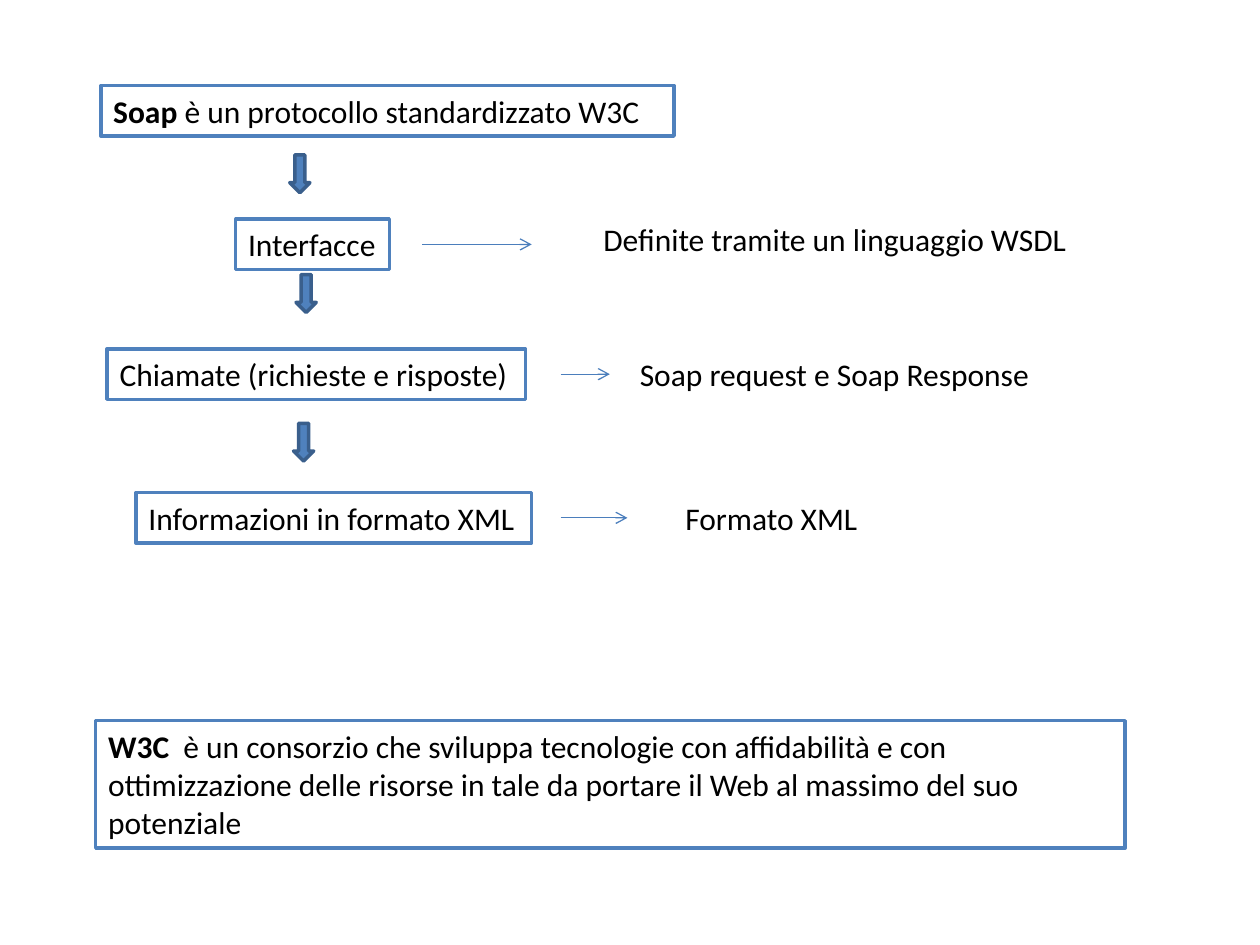
from dataclasses import dataclass

from lxml.etree import SubElement
from pptx import Presentation
from pptx.dml.color import RGBColor
from pptx.enum.shapes import MSO_CONNECTOR as Connector, MSO_SHAPE as Shape
from pptx.enum.text import MSO_ANCHOR as Anchor, MSO_AUTO_SIZE as AutoSize, PP_ALIGN as Align
from pptx.oxml.ns import qn
from pptx.util import Inches, Pt

COLUMNS, ROWS = 100, 75


@dataclass(frozen=True)
class Theme:
    font: str = "Calibri"
    size: float = 18
    ink: str = "000000"
    paper: str = "FFFFFF"
    accent: str = "4F81BD"
    arrow_edge: str = "3A5F8C"
    link: str = "4B7EBC"
    border: float = 2
    hairline: float = 0.75


class Diagram:
    """Draws on one slide; lengths are columns and rows of its grid."""

    def __init__(self, deck, theme):
        self.theme = theme
        self.slide = deck.slides.add_slide(deck.slide_layouts[6])
        self.column = deck.slide_width / COLUMNS
        self.row = deck.slide_height / ROWS

    def place(self, *lengths):
        """Turn alternating columns and rows into slide lengths."""
        units = (self.column, self.row) * 2
        return [round(length * unit) for length, unit in zip(lengths, units)]

    def preset(self, kind, area, fill, edge):
        shape = self.slide.shapes.add_shape(kind, *self.place(*area))
        shape.shadow.inherit = False
        shape.fill.solid()
        shape.fill.fore_color.rgb = RGBColor.from_string(fill)
        shape.line.color.rgb = RGBColor.from_string(edge)
        shape.line.width = Pt(self.theme.border)
        return shape

    def set_text(self, shape, text, lead="", wrap=False):
        """Fill a shape with one paragraph, opened by a bold lead."""
        frame = shape.text_frame
        frame.word_wrap = wrap
        frame.auto_size = AutoSize.SHAPE_TO_FIT_TEXT
        frame.vertical_anchor = Anchor.TOP
        para = frame.paragraphs[0]
        para.alignment = Align.LEFT
        para.font.name = self.theme.font
        para.font.size = Pt(self.theme.size)
        para.font.color.rgb = RGBColor.from_string(self.theme.ink)
        if lead:
            span = para.add_run()
            span.text = lead
            span.font.bold = True
        para.add_run().text = text

    def box(self, area, text, lead="", wrap=False):
        shape = self.preset(Shape.RECTANGLE, area, self.theme.paper, self.theme.accent)
        self.set_text(shape, text, lead, wrap)

    def label(self, area, text):
        self.set_text(self.slide.shapes.add_textbox(*self.place(*area)), text)

    def down_arrow(self, left, top):
        self.preset(Shape.DOWN_ARROW, (left, top, 1.6, 3), self.theme.accent, self.theme.arrow_edge)

    def link(self, start, end, row):
        line = self.slide.shapes.add_connector(
            Connector.STRAIGHT, *self.place(start, row, end, row))
        line.line.color.rgb = RGBColor.from_string(self.theme.link)
        line.line.width = Pt(self.theme.hairline)
        properties = line._element.spPr
        SubElement(properties.find(qn("a:ln")), qn("a:tailEnd"), type="arrow")
        SubElement(properties, qn("a:effectLst"))


def main():
    deck = Presentation()
    deck.slide_width, deck.slide_height = Inches(10), Inches(7.5)
    diagram = Diagram(deck, Theme())
    height = 4

    diagram.box((8, 6.8, 45.5, height), "è un protocollo standardizzato W3C", lead="Soap ")

    # Each step: top, box (left, width, text), link (start, end), label (left, top, width, text)
    steps = [
        (17.4, (18.7, 12.2, "Interfacce"), (33.5, 42.2),
         (46.9, 17, 39.2, "Definite tramite un linguaggio WSDL")),
        (27.7, (8.5, 33.2, "Chiamate (richieste e risposte)"), (44.5, 48.4),
         (49.8, 27.7, 33.3, "Soap request e Soap Response")),
        (39.1, (10.8, 31.4, "Informazioni in formato XML"), (44.5, 49.8),
         (53.4, 39.1, 15.8, "Formato XML")),
    ]
    for top, (left, width, text), (start, end), (note_left, note_top, note_width, note) in steps:
        diagram.box((left, top, width, height), text)
        diagram.link(start, end, top + height / 2)
        diagram.label((note_left, note_top, note_width, height), note)

    for left, top in [(23, 12.3), (23.5, 21.8), (23.3, 33.6)]:
        diagram.down_arrow(left, top)

    diagram.box(
        (7.6, 57.2, 81.7, 10.1),
        "  è un consorzio che sviluppa tecnologie con affidabilità e con ottimizzazione "
        "delle risorse in tale da portare il Web al massimo del suo potenziale",
        lead="W3C", wrap=True)

    deck.save("out.pptx")


if __name__ == "__main__":
    main()
